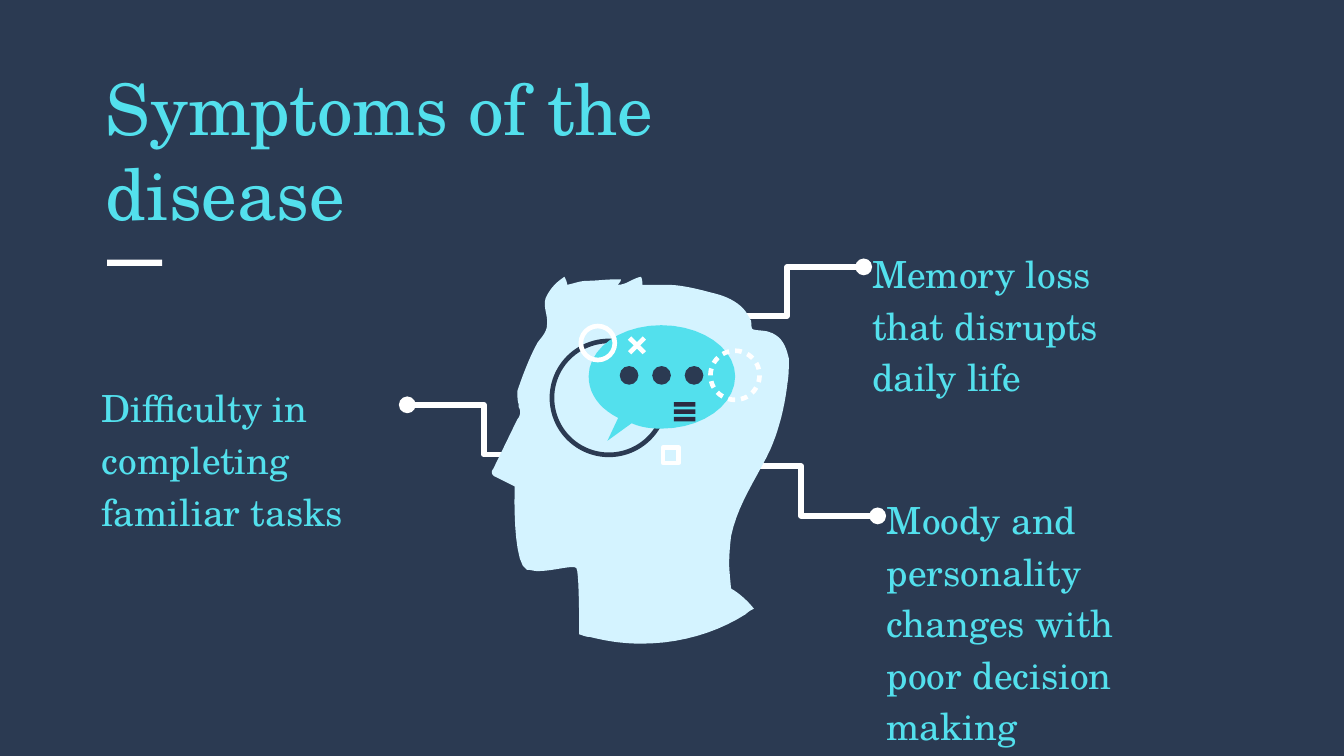
from dataclasses import dataclass
from math import cos, radians, sin

from lxml.etree import SubElement
from pptx import Presentation
from pptx.dml.color import RGBColor
from pptx.enum.shapes import MSO_CONNECTOR, MSO_SHAPE
from pptx.oxml.ns import qn
from pptx.util import Pt

NAVY, INK, CYAN, PALE, WHITE = "2B3A52", "2B2A40", "53E0ED", "D4F3FF", "FFFFFF"
FONT = "TeX Gyre Schola"
OUTLINE_UNIT = 0.72  # points per unit in the outlines below
CURVE_STEPS = 10

# Two numbers are a corner, six are a Bézier curve.
HEAD = [
    (420, 206), (414, 210, 409, 215, 406, 222), (404, 229, 408, 235, 407, 242),
    (407, 247, 403, 251, 400, 255), (394, 266, 389, 279, 385, 291),
    (385, 295, 385, 298, 386, 301), (386, 303), (388, 306, 387, 310, 385, 312),
    (367, 349), (365, 351, 366, 354, 369, 355), (383, 362),
    (383, 362, 381, 419, 392, 424), (395, 424, 397, 425, 400, 425),
    (410, 425, 420, 422, 426, 422), (427, 422, 428, 422, 429, 423),
    (431, 426, 431, 467, 431, 472), (434, 473, 436, 474, 439, 474),
    (451, 477, 463, 479, 477, 479), (506, 479, 533, 471, 555, 457),
    (557, 455, 559, 454, 561, 453), (557, 448, 551, 442, 544, 438),
    (544, 438, 543, 428, 543, 427), (542, 418, 543, 408, 544, 399),
    (549, 375, 563, 356, 573, 335), (580, 319, 584, 302, 586, 285),
    (587, 279, 587, 273, 587, 267), (585, 258, 582, 250, 572, 247),
    (570, 246, 562, 246, 560, 245), (559, 244, 559, 241, 559, 239),
    (558, 237, 556, 234, 555, 232), (549, 224, 539, 220, 530, 218),
    (519, 215, 507, 212, 496, 212), (478, 212),
    (478, 210, 478, 208, 477, 206), (471, 207, 466, 212, 460, 212),
    (460, 211, 462, 210, 462, 208), (456, 208),
    (450, 208, 444, 209, 437, 209), (432, 209, 427, 211, 422, 212),
    (422, 210, 421, 208, 420, 206),
]
SPEECH_BUBBLE = [
    (492, 242), (462, 242, 438, 259, 438, 280), (438, 293, 446, 304, 460, 311),
    (452, 328), (470, 315), (477, 318, 484, 319, 492, 319),
    (522, 319, 547, 302, 547, 280), (547, 259, 522, 242, 492, 242),
]


@dataclass
class Callout:
    text: str
    left: float
    top: float
    tip_x: float
    tip_y: float
    side: int  # 1 when the head lies to the right of the tip, -1 to the left
    drop: float


CALLOUTS = [
    Callout("Difficulty in completing familiar tasks", 47.5, 195.8, 218.2, 216.9, 1, 26.6),
    Callout("Moody and personality changes with poor decision making",
            468, 255.6, 470.2, 276.4, -1, -26.6),
    Callout("Memory loss that disrupts daily life", 460.1, 123.8, 462.7, 143, -1, 26.2),
]


def color(value: str) -> RGBColor:
    return RGBColor.from_string(value)


def add_text(slide, text: str, left: float, top: float, width: float, height: float, *,
             size: float, line_spacing: float = 1.0, space_after: float = 0) -> None:
    frame = slide.shapes.add_textbox(Pt(left), Pt(top), Pt(width), Pt(height)).text_frame
    frame.word_wrap = True
    frame.margin_left = frame.margin_right = Pt(7.2)
    frame.margin_top = frame.margin_bottom = Pt(7.2)
    paragraph = frame.paragraphs[0]
    paragraph.line_spacing = line_spacing
    paragraph.space_after = Pt(space_after)
    run = paragraph.add_run()
    run.text = text
    run.font.name, run.font.size = FONT, Pt(size)
    run.font.color.rgb = color(CYAN)


def paint(shape, fill: str) -> None:
    shape.shadow.inherit = False
    shape.fill.solid()
    shape.fill.fore_color.rgb = color(fill)
    shape.line.fill.background()


def add_solid(slide, kind: MSO_SHAPE, left: float, top: float, width: float, height: float,
              fill: str, rotation: float = 0) -> None:
    shape = slide.shapes.add_shape(kind, Pt(left), Pt(top), Pt(width), Pt(height))
    paint(shape, fill)
    shape.rotation = rotation


def add_frame(slide, kind: MSO_SHAPE, center_x: float, center_y: float, size: float,
              line: str) -> None:
    """Draw an unfilled square or circle around a centre."""
    shape = slide.shapes.add_shape(kind, Pt(center_x - size / 2), Pt(center_y - size / 2),
                                   Pt(size), Pt(size))
    shape.shadow.inherit = False
    shape.fill.background()
    shape.line.color.rgb = color(line)
    shape.line.width = Pt(2.5)


def flatten(outline: list) -> list:
    """Turn corners and Bézier curves into points."""
    points = [outline[0]]
    for segment in outline[1:]:
        if len(segment) == 2:
            points.append(segment)
            continue
        nodes = [points[-1], segment[:2], segment[2:4], segment[4:]]
        for step in range(1, CURVE_STEPS + 1):
            t = step / CURVE_STEPS
            weights = ((1 - t) ** 3, 3 * t * (1 - t) ** 2, 3 * t ** 2 * (1 - t), t ** 3)
            points.append(tuple(sum(weight * node[axis] for weight, node in zip(weights, nodes))
                                for axis in (0, 1)))
    return [(x * OUTLINE_UNIT, y * OUTLINE_UNIT) for x, y in points]


def add_polygons(slide, polygons: list, fill: str) -> None:
    """Draw closed polygons, given in points, as one freeform."""
    builder = None
    for polygon in polygons:
        start, *rest = [(Pt(x), Pt(y)) for x, y in polygon]
        if builder is None:
            builder = slide.shapes.build_freeform(*start)
        else:
            builder.move_to(*start)
        builder.add_line_segments(rest, close=True)
    paint(builder.convert_to_shape(), fill)


def ring_dash(center_x: float, center_y: float, start: float) -> list:
    def arc(radius: float, angles: tuple) -> list:
        return [(center_x + radius * sin(radians(angle)), center_y - radius * cos(radians(angle)))
                for angle in angles]
    angles = (start, start + 8, start + 16)
    return arc(14.4, angles) + arc(11.9, angles[::-1])


def add_connector(slide, kind: MSO_CONNECTOR, begin_x: float, begin_y: float,
                  end_x: float, end_y: float, oval_end: bool = False) -> None:
    connector = slide.shapes.add_connector(kind, Pt(begin_x), Pt(begin_y), Pt(end_x), Pt(end_y))
    connector.line.color.rgb = color(WHITE)
    connector.line.width = Pt(3)
    if oval_end:
        SubElement(connector.line._get_or_add_ln(), qn("a:tailEnd"), type="oval")
    SubElement(connector._element.spPr, qn("a:effectLst"))


def add_callout(slide, callout: Callout) -> None:
    x, y, side = callout.tip_x, callout.tip_y, callout.side
    add_connector(slide, MSO_CONNECTOR.STRAIGHT, x + 38.9 * side, y, x, y, oval_end=True)
    add_connector(slide, MSO_CONNECTOR.ELBOW, x + 18 * side, y,
                  x + 64 * side, y + callout.drop)
    add_text(slide, callout.text, callout.left, callout.top, 172.8, 34.6,
             size=20, line_spacing=1.15, space_after=16)


def add_thinking_head(slide) -> None:
    add_polygons(slide, [flatten(HEAD)], PALE)
    add_frame(slide, MSO_SHAPE.OVAL, 326.2, 213.2, 61, NAVY)
    add_polygons(slide, [flatten(SPEECH_BUBBLE)], CYAN)
    for angle in (45, 135):
        add_solid(slide, MSO_SHAPE.RECTANGLE, 335.6, 183.8, 11.2, 2.5, WHITE, angle)
    add_polygons(slide, [ring_dash(393.8, 201.1, start) for start in range(0, 360, 30)], WHITE)
    add_frame(slide, MSO_SHAPE.OVAL, 320.3, 183.8, 18.2, WHITE)
    add_frame(slide, MSO_SHAPE.RECTANGLE, 359.5, 243.9, 8.4, WHITE)
    for index in range(3):
        add_solid(slide, MSO_SHAPE.RECTANGLE, 361, 215.4 + 3.95 * index, 11.6, 2.4, INK)
        add_solid(slide, MSO_SHAPE.OVAL, 332 + 17.4 * index, 196.1, 10, 10, NAVY)


def main() -> None:
    presentation = Presentation()
    presentation.slide_width, presentation.slide_height = Pt(720), Pt(405)
    slide = presentation.slides.add_slide(presentation.slide_layouts[6])
    slide.background.fill.solid()
    slide.background.fill.fore_color.rgb = color(NAVY)
    add_text(slide, "Symptoms of the disease", 49.7, 27.4, 316.8, 56.9, size=38)
    add_solid(slide, MSO_SHAPE.RECTANGLE, 57.4, 139.1, 29.5, 3.4, WHITE)
    for callout in CALLOUTS:
        add_callout(slide, callout)
    add_thinking_head(slide)
    presentation.save("out.pptx")


if __name__ == "__main__":
    main()
